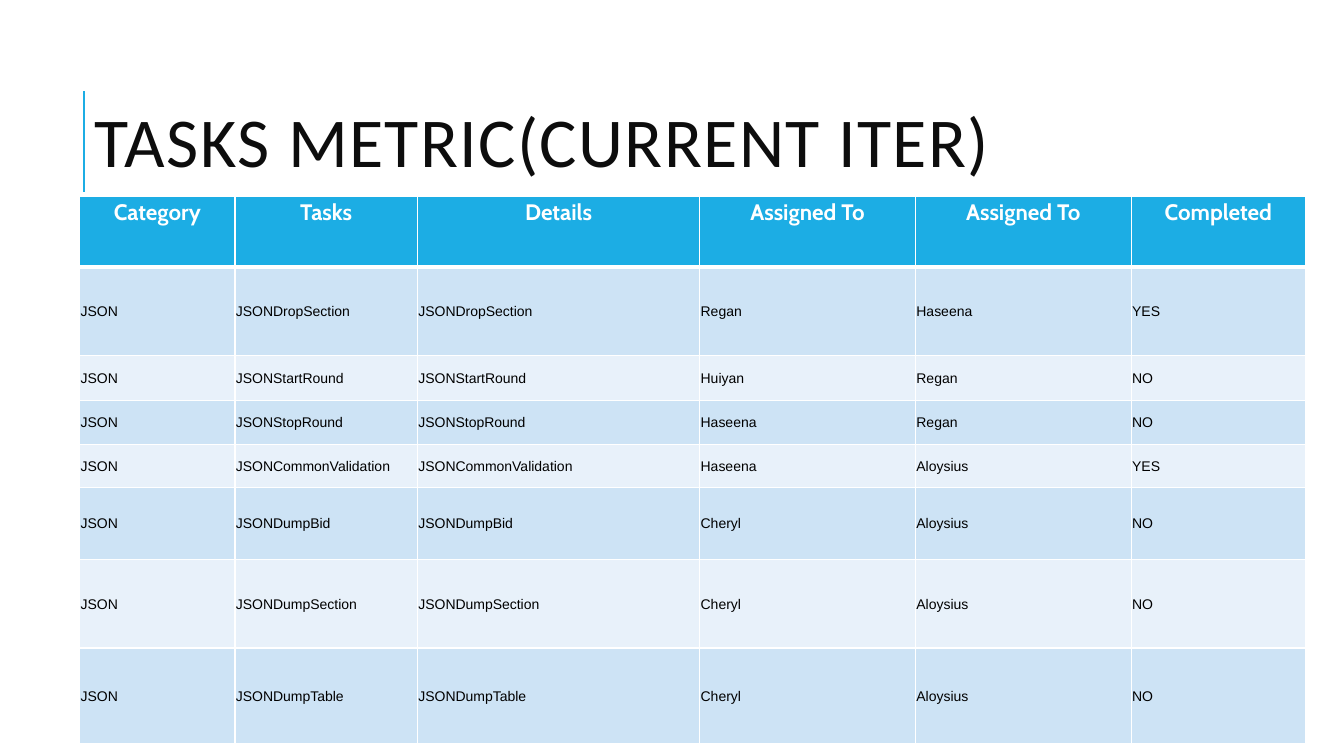
from lxml.etree import SubElement
from pptx import Presentation
from pptx.dml.color import RGBColor
from pptx.enum.shapes import MSO_CONNECTOR
from pptx.enum.text import MSO_ANCHOR, MSO_AUTO_SIZE, PP_ALIGN
from pptx.oxml.ns import qn
from pptx.util import Inches, Pt

WHITE = RGBColor(0xFF, 0xFF, 0xFF)
BLACK = RGBColor(0, 0, 0)
TITLE_INK = RGBColor(0x0D, 0x0D, 0x0D)
ACCENT = RGBColor(0x1C, 0xAD, 0xE4)
BAND_DARK = RGBColor(0xCD, 0xE3, 0xF5)
BAND_LIGHT = RGBColor(0xE8, 0xF1, 0xFA)

COLUMN_WIDTHS = [1.54, 1.81, 2.8, 2.14, 2.14, 1.73]
ROW_HEIGHTS = [0.7, 0.88, 0.44, 0.44, 0.43, 0.71, 0.88, 0.95]
HEADERS = ["Category", "Tasks", "Details", "Assigned To", "Assigned To", "Completed"]
TASKS = [
    ("JSONDropSection", "Regan", "Haseena", "YES"),
    ("JSONStartRound", "Huiyan", "Regan", "NO"),
    ("JSONStopRound", "Haseena", "Regan", "NO"),
    ("JSONCommonValidation", "Haseena", "Aloysius", "YES"),
    ("JSONDumpBid", "Cheryl", "Aloysius", "NO"),
    ("JSONDumpSection", "Cheryl", "Aloysius", "NO"),
    ("JSONDumpTable", "Cheryl", "Aloysius", "NO"),
]


def style_font(font, name, size, color, bold=False):
    font.name = name
    font.size = Pt(size)
    font.color.rgb = color
    font.bold = bold


def add_title(slide, text):
    title = slide.shapes.title
    title.left, title.top = Inches(0.84), Inches(0.64)
    title.width, title.height = Inches(10.63), Inches(1.64)
    frame = title.text_frame
    frame.text = text
    frame.word_wrap = True
    frame.auto_size = MSO_AUTO_SIZE.NONE
    frame.vertical_anchor = MSO_ANCHOR.MIDDLE
    paragraph = frame.paragraphs[0]
    paragraph.alignment = PP_ALIGN.LEFT
    paragraph.line_spacing = 0.8
    font = paragraph.runs[0].font
    style_font(font, "Calibri", 50, TITLE_INK)
    font._element.set("spc", "100")


def add_title_rule(slide):
    rule = slide.shapes.add_connector(
        MSO_CONNECTOR.STRAIGHT, Inches(0.83), Inches(1.9), Inches(0.83), Inches(0.9)
    )
    rule.line.color.rgb = ACCENT
    rule.line.width = Pt(1.5)
    SubElement(rule._element.spPr, qn("a:effectLst"))


def set_borders(cell, top, bottom):
    properties = cell._tc.get_or_add_tcPr()
    for side, width in (("L", 1), ("R", 1), ("T", top), ("B", bottom)):
        line = SubElement(properties, qn(f"a:ln{side}"), w=str(Pt(width)))
        fill = SubElement(line, qn("a:solidFill"))
        SubElement(fill, qn("a:srgbClr"), val=str(WHITE))


def format_cell(cell, text, row):
    is_header = row == 0
    set_borders(cell, 3 if row == 1 else 1, 3 if is_header else 1)
    cell.margin_left = cell.margin_right = cell.margin_top = Inches(0.01)
    cell.margin_bottom = 0
    cell.fill.solid()
    cell.text_frame.text = text
    paragraph = cell.text_frame.paragraphs[0]
    font = paragraph.runs[0].font
    if is_header:
        cell.fill.fore_color.rgb = ACCENT
        cell.vertical_anchor = MSO_ANCHOR.TOP
        paragraph.alignment = PP_ALIGN.CENTER
        paragraph.line_spacing = 1.07
        style_font(font, "Cabin", 16, WHITE, bold=True)
    else:
        cell.fill.fore_color.rgb = BAND_DARK if row % 2 else BAND_LIGHT
        cell.vertical_anchor = MSO_ANCHOR.MIDDLE
        style_font(font, "Arial", 10, BLACK)


def add_task_table(slide):
    rows = [HEADERS] + [("JSON", task, task, *rest) for task, *rest in TASKS]
    table = slide.shapes.add_table(
        len(rows), len(HEADERS), Inches(0.79), Inches(1.95),
        Inches(sum(COLUMN_WIDTHS)), Inches(sum(ROW_HEIGHTS)),
    ).table
    for column, width in zip(table.columns, COLUMN_WIDTHS):
        column.width = Inches(width)
    for row, height in zip(table.rows, ROW_HEIGHTS):
        row.height = Inches(height)
    for row_index, values in enumerate(rows):
        for column_index, value in enumerate(values):
            format_cell(table.cell(row_index, column_index), value, row_index)


def main():
    presentation = Presentation()
    presentation.slide_width = Inches(13.33)
    presentation.slide_height = Inches(7.5)
    slide = presentation.slides.add_slide(presentation.slide_layouts[5])
    slide.background.fill.solid()
    slide.background.fill.fore_color.rgb = WHITE
    add_title_rule(slide)
    add_title(slide, "TASKS METRIC(CURRENT ITER)")
    add_task_table(slide)
    presentation.save("out.pptx")


if __name__ == "__main__":
    main()
